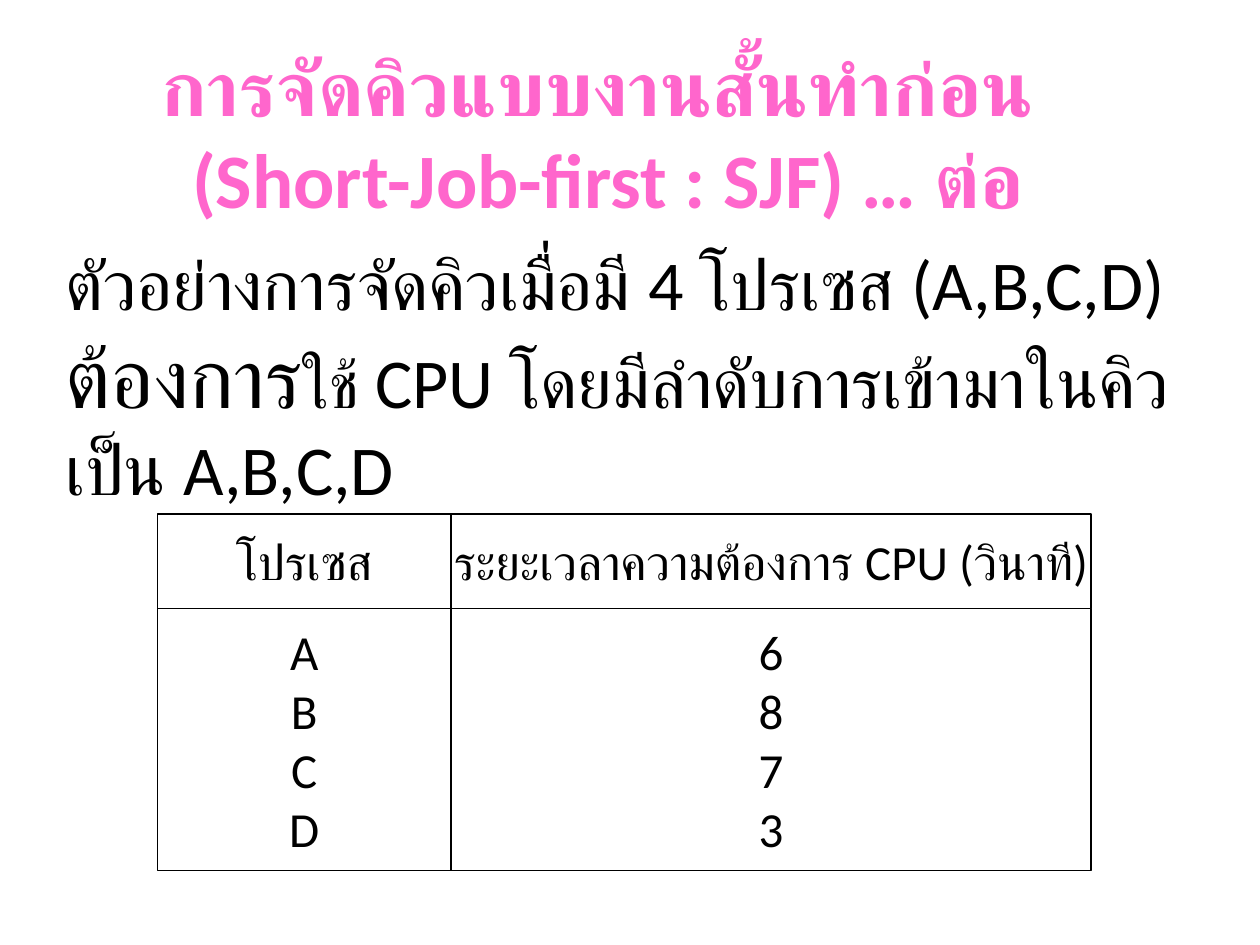
from itertools import accumulate

from pptx import Presentation
from pptx.dml.color import RGBColor
from pptx.enum.shapes import MSO_SHAPE as Shape
from pptx.enum.text import MSO_ANCHOR as Anchor, MSO_AUTO_SIZE as AutoSize, PP_ALIGN as Align
from pptx.util import Inches, Pt


def color(value):
    return RGBColor.from_string(value)


class QueueSlide:
    font_name = "Calibri"
    ink = "000000"
    accent = "FF66CC"
    border = 0.74

    def __init__(self, presentation):
        self.slide = presentation.slides.add_slide(presentation.slide_layouts[5])

    def style(self, font, size, ink=None, bold=False):
        font.name = self.font_name
        font.size = Pt(size)
        font.bold = bold
        font.color.rgb = color(ink or self.ink)

    def title(self, text, left, top, width, height):
        shape = self.slide.shapes.title
        shape.left, shape.top = Inches(left), Inches(top)
        shape.width, shape.height = Inches(width), Inches(height)
        frame = shape.text_frame
        frame.auto_size = AutoSize.NONE
        frame.vertical_anchor = Anchor.BOTTOM
        frame.text = text
        paragraph = frame.paragraphs[0]
        paragraph.alignment = Align.CENTER
        self.style(paragraph.font, 44, self.accent, True)

    def body(self, runs, left, top, width, height):
        box = self.slide.shapes.add_textbox(
            Inches(left), Inches(top), Inches(width), Inches(height))
        frame = box.text_frame
        frame.word_wrap = True
        for text, size in runs:
            run = frame.paragraphs[0].add_run()
            run.text = text
            self.style(run.font, size)

    def grid(self, rows, left, top, widths, heights):
        group = self.slide.shapes.add_group_shape()
        lefts = accumulate(widths[:-1], initial=left)
        columns = list(zip(lefts, widths))
        tops = accumulate(heights[:-1], initial=top)
        for texts, row_top, height in zip(rows, tops, heights):
            for text, (cell_left, width) in zip(texts, columns):
                self.cell(group, text, cell_left, row_top, width, height)

    def cell(self, group, text, left, top, width, height):
        shape = group.shapes.add_shape(
            Shape.RECTANGLE, Inches(left), Inches(top), Inches(width), Inches(height))
        shape.shadow.inherit = False
        shape.fill.background()
        shape.line.color.rgb = color(self.ink)
        shape.line.width = Pt(self.border)
        frame = shape.text_frame
        frame.word_wrap = False
        frame.vertical_anchor = Anchor.MIDDLE
        frame.text = text
        for paragraph in frame.paragraphs:
            paragraph.alignment = Align.CENTER
            self.style(paragraph.font, 28)


presentation = Presentation()
presentation.slide_width, presentation.slide_height = Inches(10), Inches(7.5)
queue = QueueSlide(presentation)
queue.title("การจัดคิวแบบงานสั้นทำก่อน \v(Short-Job-first : SJF) … ต่อ", 0.75, 0.47, 8.15, 1.36)
queue.body([
    ("ตัวอย่างการจัดคิวเมื่อมี 4 โปรเซส (A,B,C,D) ", 40),
    ("ต้องการ", 48),
    ("ใช้ ", 36),
    ("CPU โดยมีลำดับการเข้ามาในคิวเป็น A,B,C,D", 40),
], 0.42, 1.86, 9.25, 5.22)
burst_times = {"A": 6, "B": 8, "C": 7, "D": 3}
queue.grid([
    ("โปรเซส", "ระยะเวลาความต้องการ CPU (วินาที)"),
    ("\n".join(burst_times), "\n".join(map(str, burst_times.values()))),
], 1.25, 4.08, (2.33, 5.08), (0.75, 2.08))
presentation.save("out.pptx")
